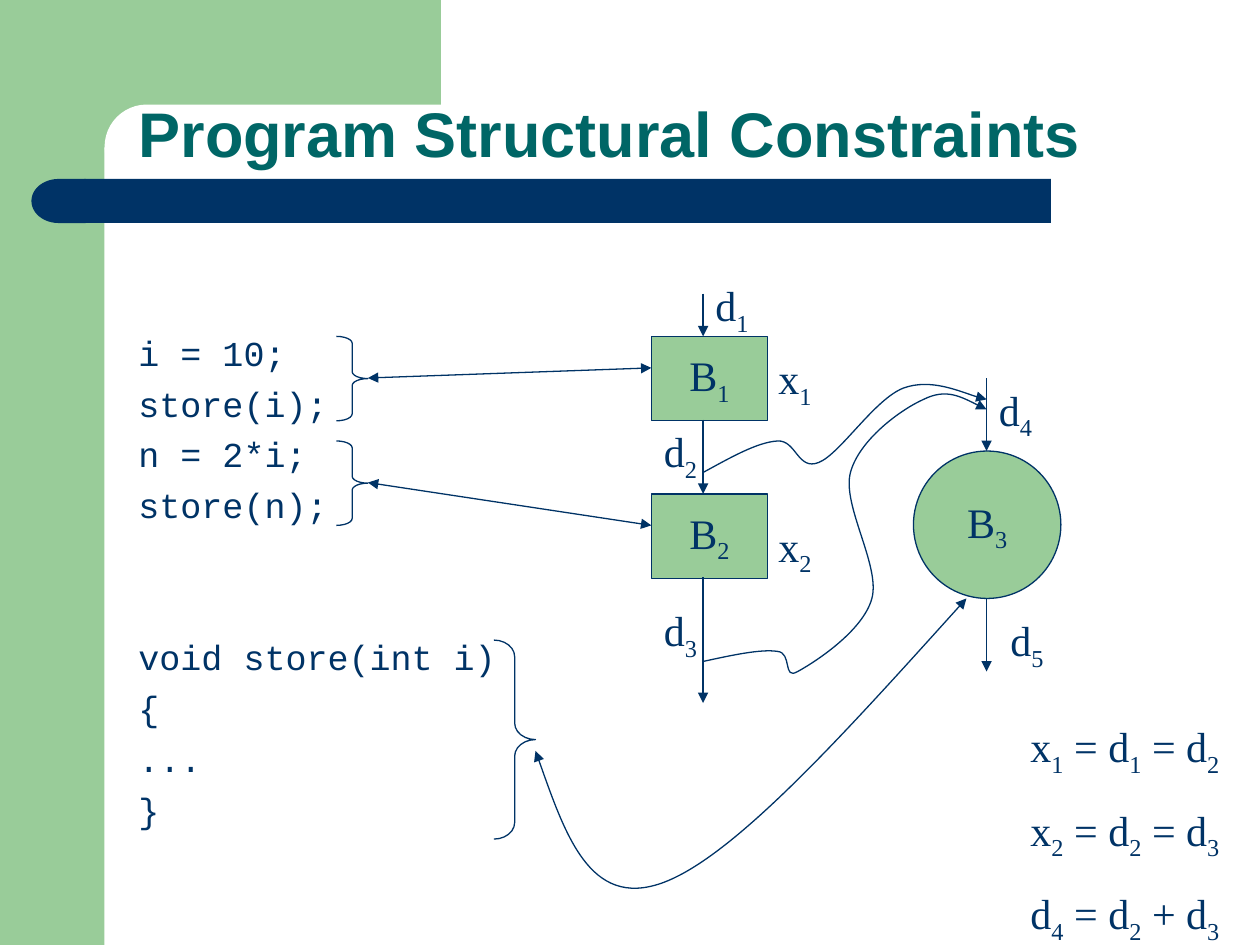
"""Build the slide on program structural constraints with its flow graph."""
from itertools import groupby

from lxml.etree import SubElement
from pptx import Presentation
from pptx.dml.color import RGBColor
from pptx.enum.shapes import MSO_CONNECTOR, MSO_SHAPE
from pptx.enum.text import MSO_ANCHOR, MSO_AUTO_SIZE, PP_ALIGN
from pptx.oxml.ns import qn
from pptx.util import Inches, Pt

GREEN, NAVY, TEAL, WHITE = "99CC99", "003366", "006666", "FFFFFF"
color = RGBColor.from_string


def paint(shape, fill=None, line=None, ends=()):
    """Set fill, outline and arrowheads, and switch the shadow off."""
    if fill:
        shape.fill.solid()
        shape.fill.fore_color.rgb = color(fill)
    elif hasattr(shape, "fill"):
        shape.fill.background()
    if line:
        shape.line.color.rgb = color(line)
        shape.line.width = Pt(0.75)
    else:
        shape.line.fill.background()
    properties = shape._element.spPr
    for end in ends:
        SubElement(properties.find(qn("a:ln")), qn(f"a:{end}"), type="triangle")
    SubElement(properties, qn("a:effectLst"))


def write_formula(paragraph, formula):
    """Write a formula with its digits as subscripts."""
    for is_index, letters in groupby(formula, str.isdigit):
        run = paragraph.add_run()
        run.text = "".join(letters)
        if is_index:
            run._r.get_or_add_rPr().set("baseline", "-25000")
    paragraph.font.name = "Times New Roman"
    paragraph.font.size = Pt(24)
    paragraph.font.color.rgb = color(NAVY)


prs = Presentation()
prs.slide_width, prs.slide_height = Inches(10), Inches(7.5)
slide = prs.slides.add_slide(prs.slide_layouts[5])
shapes = slide.shapes

for kind, box, fill in [
    (MSO_SHAPE.RECTANGLE, (0, 0, 0.83, 7.5), GREEN),
    (MSO_SHAPE.RECTANGLE, (0.75, 0, 2.75, 1.17), GREEN),
    (MSO_SHAPE.ROUNDED_RECTANGLE, (0.83, 0.83, 5.58, 0.67), WHITE),
    (MSO_SHAPE.RECTANGLE, (0.67, 1.42, 7.67, 0.35), NAVY),
    (MSO_SHAPE.FLOWCHART_DELAY, (0.25, 1.42, 0.43, 0.35), NAVY),
]:
    band = shapes.add_shape(kind, *map(Inches, box))
    paint(band, fill)
    if kind == MSO_SHAPE.ROUNDED_RECTANGLE:
        band.adjustments[0] = 0.5
    if kind == MSO_SHAPE.FLOWCHART_DELAY:
        band._element.spPr.xfrm.set("flipH", "1")

title = shapes.title
shapes._spTree.append(title._element)
title.left, title.top = Inches(1), Inches(0.58)
title.width, title.height = Inches(8.75), Inches(0.83)
title.text_frame.text = "Program Structural Constraints"
title.text_frame.vertical_anchor = MSO_ANCHOR.BOTTOM
title.text_frame.auto_size = MSO_AUTO_SIZE.NONE
heading = title.text_frame.paragraphs[0]
heading.alignment = PP_ALIGN.LEFT
heading.line_spacing = 0.9
heading.font.name = "Arial"
heading.font.size = Pt(36)
heading.font.bold = True
heading.font.color.rgb = color(TEAL)

code = shapes.add_textbox(Inches(1), Inches(2.58), Inches(3.08), Inches(4.08)).text_frame
code.word_wrap = True
code_lines = ["i = 10;", "store(i);", "n = 2*i;", "store(n);",
              "void store(int i)", "{", "...", "}"]
for number, code_line in enumerate(code_lines):
    statement = code.add_paragraph() if number else code.paragraphs[0]
    statement.text = code_line
    if number:
        statement.space_before = Pt(63 if code_line.startswith("void") else 5)
    statement.font.name = "Courier New"
    statement.font.size = Pt(20)
    statement.font.color.rgb = color(NAVY)

for name, kind, box in [
    ("B1", MSO_SHAPE.RECTANGLE, (5.17, 2.67, 0.92, 0.67)),
    ("B2", MSO_SHAPE.RECTANGLE, (5.17, 3.92, 0.92, 0.67)),
    ("B3", MSO_SHAPE.OVAL, (7.25, 3.58, 1.17, 1.17)),
]:
    block = shapes.add_shape(kind, *map(Inches, box))
    paint(block, GREEN, NAVY)
    block.text_frame.word_wrap = False
    block.text_frame.vertical_anchor = MSO_ANCHOR.MIDDLE
    write_formula(block.text_frame.paragraphs[0], name)
    block.text_frame.paragraphs[0].alignment = PP_ALIGN.CENTER

for ends, *points in [
    (["tailEnd"], 5.58, 2.33, 5.58, 2.67),
    (["tailEnd"], 5.58, 3.33, 5.58, 3.92),
    (["tailEnd"], 5.58, 4.58, 5.58, 5.58),
    (["tailEnd"], 7.83, 3, 7.83, 3.58),
    (["tailEnd"], 7.83, 4.75, 7.83, 5.33),
    (["headEnd", "tailEnd"], 2.92, 3, 5.17, 2.92),
    (["headEnd", "tailEnd"], 2.92, 3.83, 5.17, 4.17),
]:
    arrow = shapes.add_connector(MSO_CONNECTOR.STRAIGHT, *map(Inches, points))
    paint(arrow, line=NAVY, ends=ends)

for ends, *points in [
    (["tailEnd"], (5.58, 3.75), (5.8, 3.63), (6.01, 3.51), (6.17, 3.5),
     (6.32, 3.49), (6.33, 3.74), (6.5, 3.67), (6.67, 3.6), (6.94, 3.17),
     (7.17, 3.08), (7.39, 3), (7.72, 3.15), (7.83, 3.17)),
    (["tailEnd"], (5.58, 5.25), (5.81, 5.2), (6.04, 5.15), (6.17, 5.17),
     (6.29, 5.18), (6.21, 5.4), (6.33, 5.33), (6.46, 5.26), (6.85, 5.01),
     (6.92, 4.75), (6.99, 4.49), (6.68, 4.01), (6.75, 3.75), (6.82, 3.49),
     (7.15, 3.25), (7.33, 3.17), (7.51, 3.08), (7.67, 3.17), (7.83, 3.25)),
    (["headEnd", "tailEnd"], (4.25, 5.96), (4.47, 6.58), (4.68, 7.21),
     (5.25, 7.01), (5.82, 6.81), (6.74, 5.78), (7.67, 4.75)),
]:
    start, *controls = [(Inches(x), Inches(y)) for x, y in points]
    builder = shapes.build_freeform(*start)
    builder.add_line_segments(controls, close=False)
    curve = builder.convert_to_shape()
    outline = next(curve._element.iter(qn("a:path")))
    steps = outline.findall(qn("a:lnTo"))
    for first in range(0, len(steps), 3):
        bend = SubElement(outline, qn("a:cubicBezTo"))
        for step in steps[first:first + 3]:
            bend.append(step[0])
            outline.remove(step)
    paint(curve, line=NAVY, ends=ends)

for curl, *box in [
    (0.22, 2.67, 2.67, 0.25, 0.67),
    (0.22, 2.67, 3.5, 0.25, 0.67),
    (0.4, 3.92, 5.08, 0.33, 1.58),
]:
    brace = shapes.add_shape(MSO_SHAPE.RIGHT_BRACE, *map(Inches, box))
    brace.adjustments[0] = curl
    paint(brace, line=NAVY)

for name, left, top in [
    ("d1", 5.58, 2.17), ("d2", 5.17, 3.33), ("d3", 5.17, 4.75), ("d4", 7.83, 3),
    ("d5", 7.92, 4.83), ("x1", 6.08, 2.75), ("x2", 6.08, 4.08),
]:
    label = shapes.add_textbox(Inches(left), Inches(top), Inches(0.83), Inches(0.56))
    label.text_frame.word_wrap = True
    write_formula(label.text_frame.paragraphs[0], name)

equations = shapes.add_textbox(Inches(8.08), Inches(5.67), Inches(1.75), Inches(1.83)).text_frame
equations.word_wrap = True
for number, formula in enumerate(["x1 = d1 = d2", "x2 = d2 = d3", "d4 = d2 + d3"]):
    equation = equations.add_paragraph() if number else equations.paragraphs[0]
    if number:
        equation.space_before = Pt(15)
    write_formula(equation, formula)

prs.save("out.pptx")
